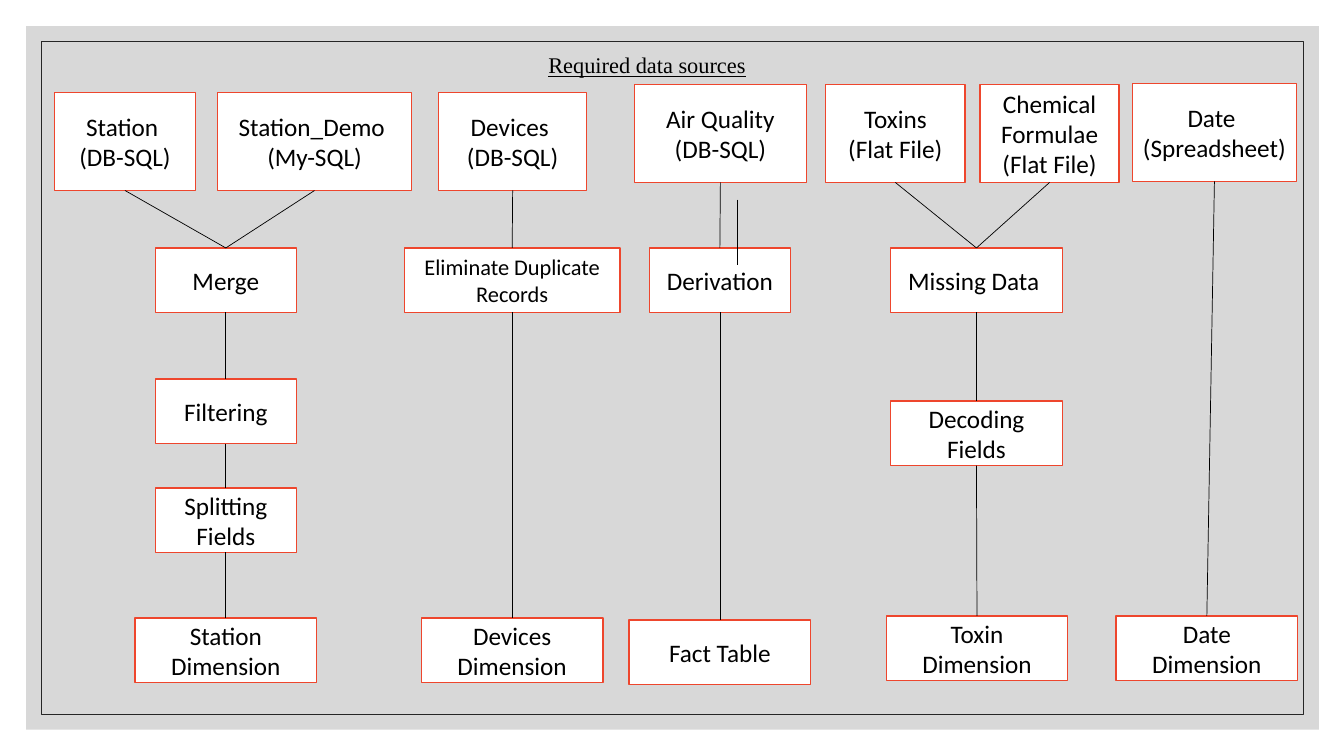
"""Draw the data flow from the required data sources to the warehouse tables."""
from itertools import pairwise

from lxml import etree
from pptx import Presentation
from pptx.dml.color import RGBColor
from pptx.enum.shapes import MSO_CONNECTOR as Connector, MSO_SHAPE as Shape
from pptx.enum.text import MSO_ANCHOR as Anchor, PP_ALIGN as Align
from pptx.oxml.ns import qn
from pptx.util import Inches, Pt


def color(value):
    return RGBColor.from_string(value)


def write(frame, text, size=18, font="Calibri", ink="000000", align=Align.CENTER,
          anchor=Anchor.MIDDLE, underline=None, indent=0):
    frame.word_wrap = True
    frame.vertical_anchor = anchor
    for index, line in enumerate(text.split("\n")):
        paragraph = frame.add_paragraph() if index else frame.paragraphs[0]
        paragraph.alignment = align
        if indent:
            paragraph.level = 1
            paragraph._p.get_or_add_pPr().set("marL", str(Inches(indent)))
        run = paragraph.add_run()
        run.text = line
        run.font.size = Pt(size)
        run.font.name = font
        run.font.color.rgb = color(ink)
        run.font.underline = underline


class FlowSlide:
    paper, border, ink = "FFFFFF", "EE462D", "000000"

    def __init__(self, slide):
        self.shapes = slide.shapes

    def panel(self, left, top, width, height, fill=None, line=None, weight=0.5, alpha=None):
        panel = self.shapes.add_shape(
            Shape.RECTANGLE, Inches(left), Inches(top), Inches(width), Inches(height))
        panel.shadow.inherit = False
        if fill:
            panel.fill.solid()
            panel.fill.fore_color.rgb = color(fill)
        else:
            panel.fill.background()
        if alpha:
            tint = panel._element.spPr.find(".//" + qn("a:srgbClr"))
            etree.SubElement(tint, qn("a:alpha")).set("val", str(alpha * 1000))
        if line:
            panel.line.color.rgb = color(line)
            panel.line.width = Pt(weight)
        else:
            panel.line.fill.background()
        return panel

    def box(self, text, left, top, width, height, size=18):
        box = self.panel(left, top, width, height, self.paper, self.border, 1)
        write(box.text_frame, text, size=size)
        return box

    def line(self, x1=0, y1=0, x2=0, y2=0):
        line = self.shapes.add_connector(
            Connector.STRAIGHT, Inches(x1), Inches(y1), Inches(x2), Inches(y2))
        line.line.color.rgb = color(self.ink)
        line.line.width = Pt(0.5)
        etree.SubElement(line._element.spPr, qn("a:effectLst"))
        return line

    def link(self, upper, lower):
        line = self.line()
        line.begin_connect(upper, 2)
        line.end_connect(lower, 0)

    def heading(self, text, left, top, width, height):
        heading = self.shapes.add_textbox(
            Inches(left), Inches(top), Inches(width), Inches(height))
        write(heading.text_frame, text, size=16, font="Times New Roman",
              align=Align.LEFT, anchor=Anchor.TOP, underline=True, indent=0.5)


SOURCE_HEIGHT, STEP_HEIGHT = 0.97, 0.64

FLOWS = [
    ([("Station \n(DB-SQL)", 0.54, 0.92, 1.4), ("Station_Demo \n(My-SQL)", 2.16, 0.92, 1.92)],
     [("Merge", 1.54, 2.46, 1.4), ("Filtering", 1.54, 3.76, 1.4),
      ("Splitting Fields", 1.54, 4.84, 1.4), ("Station Dimension", 1.34, 6.13, 1.8)]),
    ([("Devices \n(DB-SQL)", 4.35, 0.92, 1.47)],
     [("Eliminate Duplicate Records", 4.01, 2.46, 2.14, 16),
      ("Devices Dimension", 4.18, 6.13, 1.8)]),
    ([("Air Quality\n(DB-SQL)", 6.29, 0.84, 1.71)],
     [("Derivation", 6.44, 2.46, 1.4), ("Fact Table", 6.24, 6.15, 1.8)]),
    ([("Toxins\n(Flat File)", 8.19, 0.84, 1.38),
      ("Chemical Formulae\n(Flat File)", 9.72, 0.84, 1.38)],
     [("Missing Data ", 8.83, 2.46, 1.71), ("Decoding Fields", 8.83, 3.98, 1.71),
      ("Toxin Dimension", 8.79, 6.11, 1.8)]),
    ([("Date \n(Spreadsheet)", 11.23, 0.83, 1.63)],
     [("Date Dimension", 11.07, 6.11, 1.8)]),
]


def main():
    deck = Presentation()
    deck.slide_width, deck.slide_height = Inches(13.33), Inches(7.5)
    flow_slide = FlowSlide(deck.slides.add_slide(deck.slide_layouts[6]))
    flow_slide.panel(0.26, 0.26, 12.82, 6.98, fill="BFBFBF", alpha=60)
    flow_slide.panel(0.41, 0.41, 12.52, 6.68, line="262626")

    for sources, steps in FLOWS:
        source_boxes = [flow_slide.box(text, left, top, width, SOURCE_HEIGHT)
                        for text, left, top, width in sources]
        step_boxes = [flow_slide.box(text, left, top, width, STEP_HEIGHT, *size)
                      for text, left, top, width, *size in steps]
        for source in source_boxes:
            flow_slide.link(source, step_boxes[0])
        for upper, lower in pairwise(step_boxes):
            flow_slide.link(upper, lower)

    flow_slide.heading("Required data sources", 4.84, 0.46, 3.01, 0.37)
    flow_slide.line(7.31, 1.98, 7.31, 2.63)
    deck.save("out.pptx")


if __name__ == "__main__":
    main()
